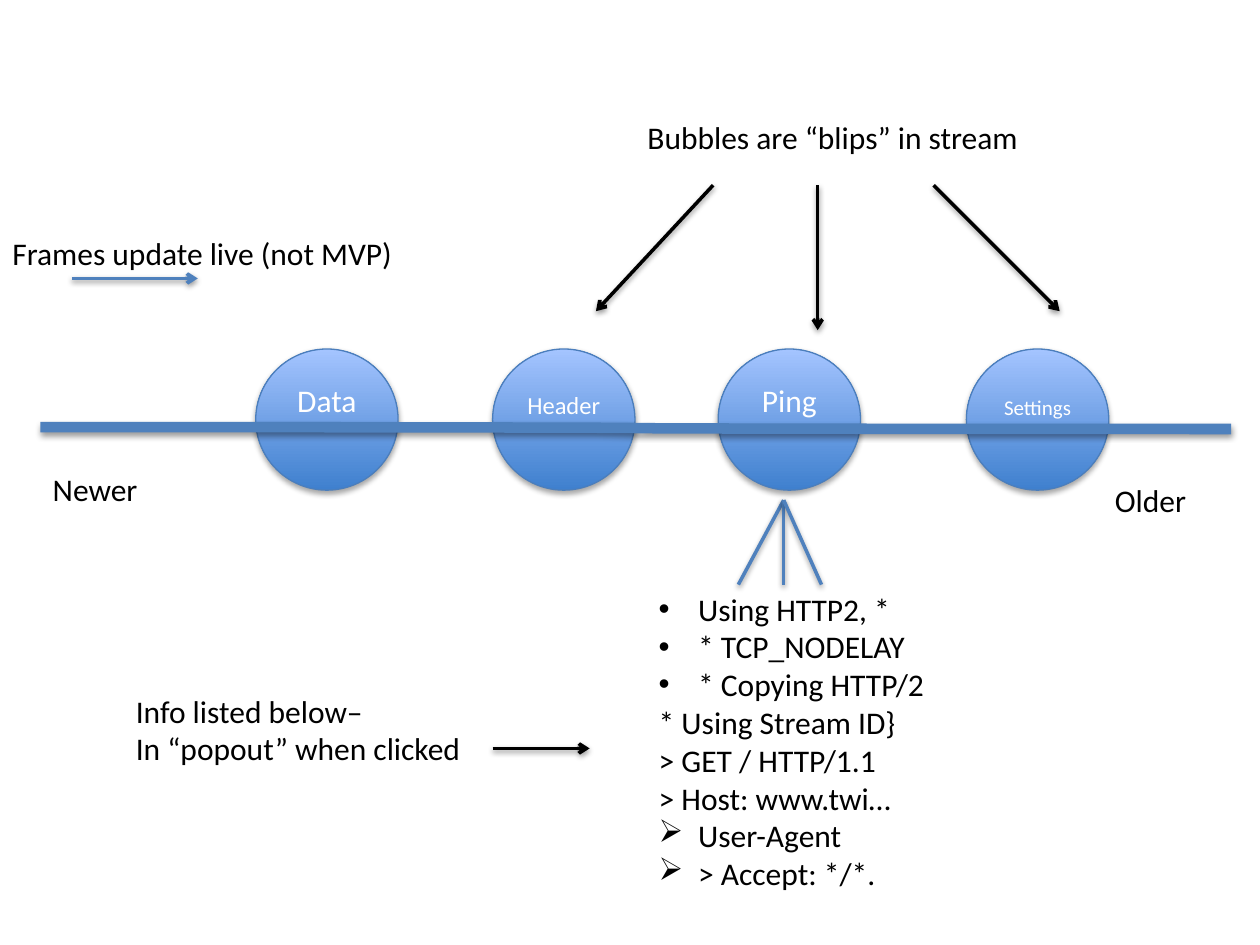
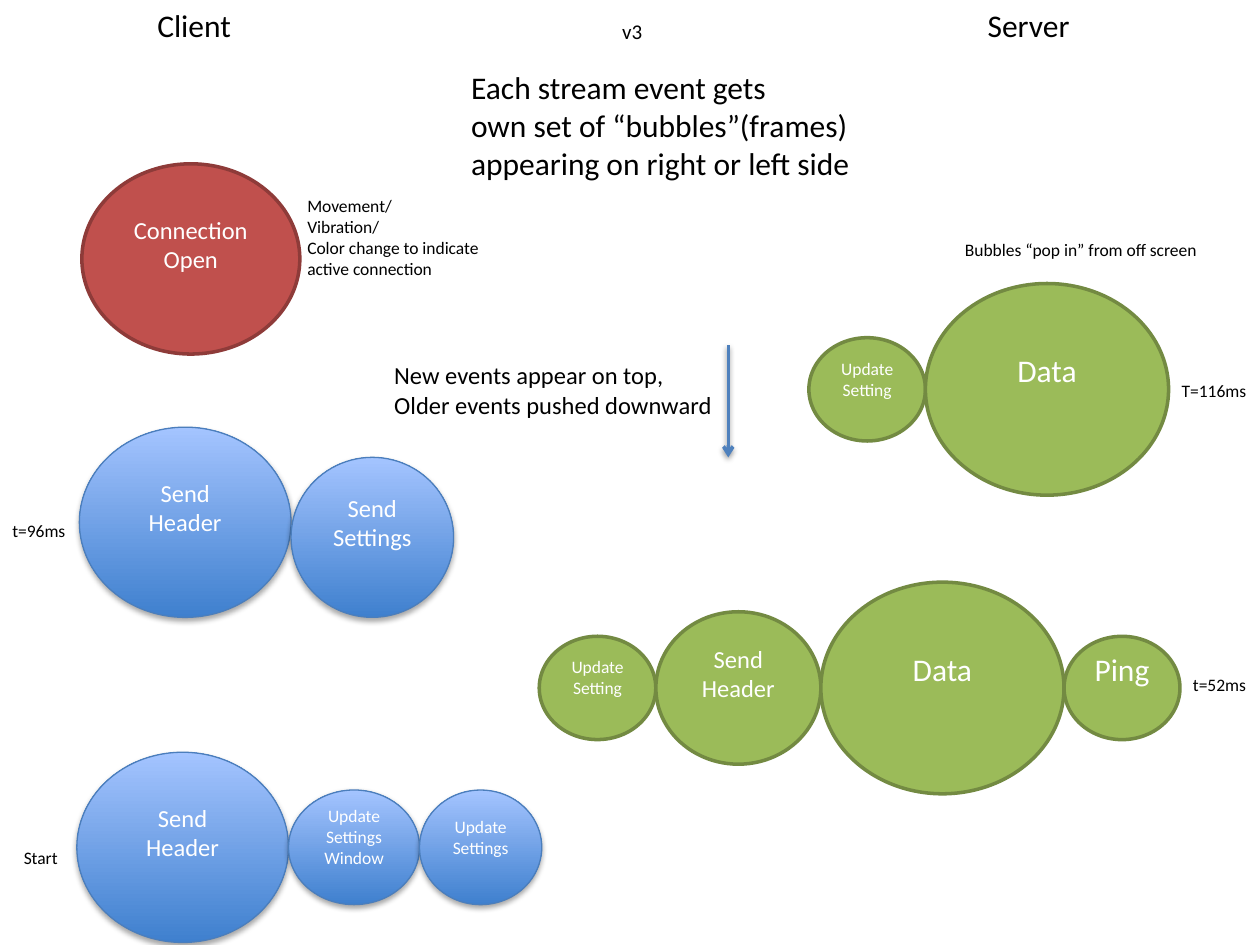
from dataclasses import dataclass
from lxml import etree
from pptx import Presentation
from pptx.dml.color import RGBColor
from pptx.enum.shapes import MSO_CONNECTOR as CXN, MSO_SHAPE
from pptx.enum.text import MSO_ANCHOR, MSO_AUTO_SIZE, PP_ALIGN
from pptx.oxml.ns import qn
from pptx.util import Emu, Inches, Pt

FONT = "Calibri"
BLACK, WHITE, LINE_BLUE = "000000", "FFFFFF", "4F81BD"
BLUE, GREEN, RED = ("3F80CE", "A4C4FF"), ("9BBB59",), ("C0504D",)
EDGES = {BLUE: ("4B7EBC", 0.75), GREEN: ("738A42", 2), RED: ("8E3B39", 2)}

prs = Presentation()
prs.slide_width, prs.slide_height = Inches(10), Inches(7.5)
CELL = prs.slide_width / 100  # the grid has 100 columns and 75 rows


@dataclass
class Box:
    """A region in grid columns and rows."""
    x: float
    y: float
    w: float = 0
    h: float = 0

    def sub(self, x, y, w=0, h=0):
        """Return a box placed relative to this one."""
        return Box(self.x + x, self.y + y, w, h)

    def emu(self):
        """Return left, top, width and height in EMU."""
        return [Emu(round(v * CELL)) for v in (self.x, self.y, self.w, self.h)]


def rgb(code):
    """Turn a hex string into a colour."""
    return RGBColor.from_string(code)


def add_xml(parent, tag, **attrs):
    """Append a child element with the given attributes."""
    return etree.SubElement(parent, qn(tag), {k: str(v) for k, v in attrs.items()})


def add_shadow(sp, dist, alpha):
    """Give a shape or connector a soft shadow below it."""
    effects = add_xml(sp._element.spPr, "a:effectLst")
    shadow = add_xml(effects, "a:outerShdw", blurRad=40000, dist=dist,
                     dir=5400000, rotWithShape=0)
    add_xml(add_xml(shadow, "a:srgbClr", val=BLACK), "a:alpha", val=alpha * 1000)


def add_bullet(p, char, font):
    """Give a paragraph a hanging bullet."""
    pPr = p._p.get_or_add_pPr()
    pPr.set("marL", "285750")
    pPr.set("indent", "-285750")
    add_xml(pPr, "a:buFont", typeface=font)
    add_xml(pPr, "a:buChar", char=char)


def write(tf, lines, size, color, align=PP_ALIGN.LEFT):
    """Write one paragraph for each line."""
    for i, line in enumerate(lines):
        p = tf.add_paragraph() if i else tf.paragraphs[0]
        p.text, p.alignment = line, align
        p.font.name, p.font.size, p.font.color.rgb = FONT, Pt(size), rgb(color)


def add_text(s, box, text, size=18, wrap=False):
    """Add a black text box and return its text frame."""
    tf = s.shapes.add_textbox(*box.emu()).text_frame
    tf.word_wrap, tf.auto_size = wrap, MSO_AUTO_SIZE.SHAPE_TO_FIT_TEXT
    write(tf, text.split("\n"), size, BLACK)
    return tf


def add_line(s, start, end, color=BLACK, width=2, arrow=True, kind=CXN.STRAIGHT):
    """Draw a shadowed line between two boxes' corners."""
    cxn = s.shapes.add_connector(kind, *start.emu()[:2], *end.emu()[:2])
    cxn.line.color.rgb, cxn.line.width = rgb(color), Pt(width)
    if arrow:
        add_xml(cxn._element.spPr.find(qn("a:ln")), "a:tailEnd", type="arrow")
    add_shadow(cxn, 20000, 38)


def add_bubble(s, box, text, size, fill):
    """Draw a frame bubble whose label sits half a line above the middle."""
    sp = s.shapes.add_shape(MSO_SHAPE.OVAL, *box.emu())
    if len(fill) > 1:
        sp.fill.gradient()
        sp.fill.gradient_angle = 90
        for stop, color in zip(sp.fill.gradient_stops, fill):
            stop.color.rgb = rgb(color)
    else:
        sp.fill.solid()
        sp.fill.fore_color.rgb = rgb(fill[0])
    edge, width = EDGES[fill]
    sp.line.color.rgb, sp.line.width = rgb(edge), Pt(width)
    if fill == BLUE:
        add_shadow(sp, 23000, 35)
    else:
        sp.shadow.inherit = False
    tf = sp.text_frame
    tf.word_wrap, tf.vertical_anchor = True, MSO_ANCHOR.MIDDLE
    tf.margin_bottom = Inches(0.05) + Pt(size * 1.22)
    write(tf, text.split("\n"), size, WHITE, PP_ALIGN.CENTER)


def add_chain(s, box, bubbles, fill, share=0.5):
    """Set touching bubbles in a row; share 0.5 centres them, 1 sits them low."""
    x = 0
    for text, w, h, size in bubbles:
        add_bubble(s, box.sub(x, (box.h - h) * share, w, h), text, size, fill)
        x += w


def add_timeline(s, box):
    """Draw the stream line with its blips and end labels."""
    for x, text, size in ((53.8, "Ping", 18), (35.9, "Header", 14),
                          (17.1, "Data", 18), (73.5, "Settings", 12)):
        add_bubble(s, box.sub(x, 0, 11.3, 11.2), text, size, BLUE)
    add_line(s, box.sub(0, 6.2), box.sub(box.w, 6.35), LINE_BLUE, 6, False, CXN.CURVE)
    add_text(s, box.sub(0, 9.1, 8.8, 4), "Newer")
    add_text(s, box.sub(84.3, 10, 7.7, 4), "Older")


def add_blip_note(s, box):
    """Add the note on blips with arrows fanning out below it."""
    add_text(s, box.sub(0, 0, 31.8, 4), "Bubbles are “blips” in stream")
    for x, dx, dy in ((14.5, 0, 11.5), (6.2, -9.3, 10), (23.7, 10, 10)):
        add_line(s, box.sub(x, 5.8), box.sub(x + dx, 5.8 + dy))


def add_live_note(s, box):
    """Add the live update note with its underlining arrow."""
    add_text(s, box.sub(0, 0, 32.6, 4), "Frames update live (not MVP)")
    add_line(s, box.sub(5.7, 4), box.sub(15.7, 4), LINE_BLUE)


def add_popout(s, box):
    """Add the frame details, the rays from the blip and the note beside."""
    add_text(s, box.sub(0, 14.7, 28, 7.1),
             "Info listed below– \nIn “popout” when clicked")
    tf = add_text(s, box.sub(41.5, 6.6, 25.4, 25.2),
                  "Using HTTP2, * \n* TCP_NODELAY\n* Copying HTTP/2\n"
                  "* Using Stream ID} \n> GET / HTTP/1.1\n> Host: www.twi…\n"
                  "User-Agent\n> Accept: */*.", wrap=True)
    for p in tf.paragraphs[:3]:
        add_bullet(p, "•", "Arial")
    for p in tf.paragraphs[-2:]:
        add_bullet(p, "Ø", "Wingdings")
    for x in (48.8, 52.4, 55.4):
        add_line(s, box.sub(52.4, 0), box.sub(x, 6.7), LINE_BLUE, arrow=False)
    add_line(s, box.sub(29.3, 19.7), box.sub(37, 19.7))


def add_client(s, box):
    """Add the client's events, the newest on top."""
    header = ("Send\nHeader", 16.8, 15.1, 14)
    add_text(s, box.sub(11.5, 0, 8, 4), "Client")
    add_chain(s, box.sub(6.1, 59.7, 0, 15.1),
              (header, ("Update\nSettings\nWindow", 10.4, 9.1, 10),
               ("Update\nSettings", 9.7, 9.1, 10)), BLUE)
    add_text(s, box.sub(0.9, 66.7, 4.8, 2.7), "Start", 10)
    add_chain(s, box.sub(6.3, 33.9, 0, 15.1),
              (header, ("Send\nSettings", 12.9, 12.7, 14)), BLUE, share=1)
    add_text(s, box.sub(0, 40.8, 6.3, 2.7), "t=96ms", 10)
    add_bubble(s, box.sub(6.5, 13, 17.3, 15.1), "Connection\nOpen", 14, RED)
    add_text(s, box.sub(23.4, 15, 15.9, 9.4),
             "Movement/\nVibration/\nColor change to indicate\nactive connection", 10)


def add_server(s, box):
    """Add the server's events, the newest on top."""
    update = ("Update Setting", 9.25, 8.2, 10)
    data = ("Data", 19.3, 16.8, 18)
    add_text(s, box.sub(34.6, 0, 8.6, 4), "Server")
    add_chain(s, box.sub(0, 46.2, 0, 16.8),
              (update, ("Send\nHeader", 13.1, 12.1, 14), data,
               ("Ping", 9.2, 8.2, 18)), GREEN)
    add_text(s, box.sub(50.9, 53, 6.3, 4.4), "t=52ms", 10)
    add_chain(s, box.sub(21.4, 22.5, 0, 16.8), (update, data), GREEN)
    add_text(s, box.sub(50, 29.7, 7.2, 2.7), "T=116ms", 10)
    add_text(s, box.sub(32.8, 18.5, 20.7, 2.7), "Bubbles “pop in” from off screen", 10)


def add_middle(s, box):
    """Add the notes between client and server."""
    add_text(s, box.sub(18.1, 1, 3.6, 3), "v3", 12)
    add_text(s, box.sub(6.1, 4.9, 32.7, 10.1),
             "Each stream event gets\nown set of “bubbles”(frames)\n"
             "appearing on right or left side")
    add_text(s, box.sub(0, 28.1, 27.5, 5.7),
             "New events appear on top,\nOlder events pushed downward", 14)
    add_line(s, box.sub(27.5, 27.4), box.sub(27.5, 36.3), LINE_BLUE)


def build(*regions):
    """Add a blank slide and fill its regions."""
    s = prs.slides.add_slide(prs.slide_layouts[6])
    for draw, box in regions:
        draw(s, box)


build((add_timeline, Box(3.2, 27.7, 94.5)), (add_blip_note, Box(50.4, 8.9)),
      (add_live_note, Box(0, 18.1)), (add_popout, Box(9.8, 39.7)))
build((add_client, Box(0, 0)), (add_server, Box(42.8, 0)), (add_middle, Box(30.3, 0)))
prs.save("out.pptx")
